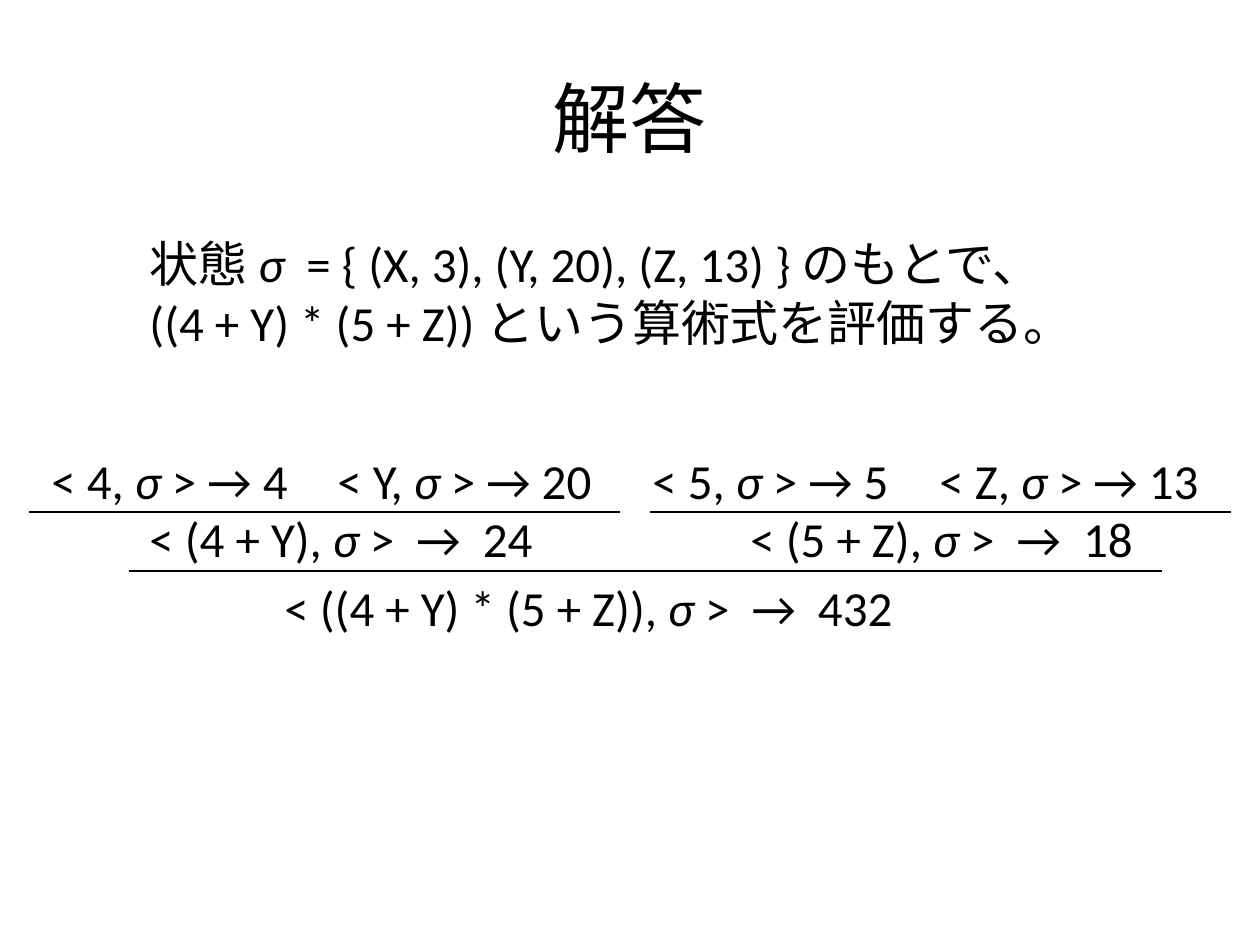
from lxml.etree import SubElement
from pptx import Presentation
from pptx.dml.color import RGBColor
from pptx.enum.shapes import MSO_CONNECTOR
from pptx.enum.text import MSO_ANCHOR, PP_ALIGN
from pptx.oxml.ns import qn
from pptx.util import Emu, Pt

PX = 914400 // 126
BLACK = RGBColor(0, 0, 0)
FONT = "Calibri"
TEXT_HEIGHT = 72
SIGMA = ("σ ", True)


def px(length):
    return Emu(length * PX)


def add_run(paragraph, text, size=28, italic=False):
    run = paragraph.add_run()
    run.text = text
    run.font.name = FONT
    run.font.size = Pt(size)
    run.font.italic = italic
    run.font.color.rgb = BLACK


def add_text(slide, left, top, width, height, paragraphs):
    """Each paragraph is a list of (text, italic) runs."""
    shape = slide.shapes.add_textbox(px(left), px(top), px(width), px(height))
    frame = shape.text_frame
    frame.word_wrap = True
    for index, runs in enumerate(paragraphs):
        paragraph = frame.paragraphs[0] if index == 0 else frame.add_paragraph()
        for text, italic in runs:
            add_run(paragraph, text, italic=italic)


def add_judgment(slide, left, top, width, expression, result):
    runs = [(f"< {expression}, ", False), SIGMA, (result, False)]
    add_text(slide, left, top, width, TEXT_HEIGHT, [runs])


def add_rule_line(slide, left, top, width):
    line = slide.shapes.add_connector(
        MSO_CONNECTOR.STRAIGHT, px(left), px(top), px(left + width), px(top))
    line.line.color.rgb = BLACK
    line.line.width = Pt(0.75)
    SubElement(line._element.spPr, qn("a:effectLst"))


def add_title(slide, left, top, width, height):
    title = slide.shapes.title
    title.left, title.top, title.width, title.height = map(
        px, (left, top, width, height))
    title.text_frame.vertical_anchor = MSO_ANCHOR.MIDDLE
    paragraph = title.text_frame.paragraphs[0]
    paragraph.alignment = PP_ALIGN.CENTER
    add_run(paragraph, "解答", size=44)


def add_question(slide, left, top, width, height):
    add_text(slide, left, top, width, height, [
        [("状態 ", False), ("σ  ", True),
         ("= { (X, 3), (Y, 20), (Z, 13) } のもとで、", False)],
        [("((4 + Y) * (5 + Z)) という算術式を評価する。", False)],
    ])


def add_inference(slide, left, top, width, premises, conclusion):
    """Premises above a rule line and the conclusion below it.

    Each judgment is (offset from left, width, expression, result).
    """
    for offset, text_width, expression, result in premises:
        add_judgment(slide, left + offset, top, text_width, expression, result)
    add_rule_line(slide, left, top + 68, width)
    offset, text_width, expression, result = conclusion
    add_judgment(slide, left + offset, top + 58, text_width, expression, result)


def add_derivation(slide, left, top, width):
    # Evaluation of the two operands
    add_inference(slide, left, top, 591,
                  [(10, 272, "4", "> → 4"), (296, 291, "Y", "> → 20")],
                  (108, 438, "(4 + Y)", ">  →  24"))
    add_inference(slide, left + 621, top, width - 621,
                  [(-10, 272, "5", "> → 5"), (277, 296, "Z", "> → 13")],
                  (88, 421, "(5 + Z)", ">  →  18"))
    # Evaluation of the product
    add_rule_line(slide, left + 100, top + 127, 1033)
    add_judgment(slide, left + 243, top + 127, 678,
                 "((4 + Y) * (5 + Z))", ">  →  432")


def main():
    presentation = Presentation()
    presentation.slide_width = px(1260)
    presentation.slide_height = px(945)
    slide = presentation.slides.add_slide(presentation.slide_layouts[5])
    add_title(slide, 63, 38, 1134, 158)
    add_question(slide, 137, 227, 903, 131)
    add_derivation(slide, 29, 444, 1202)
    presentation.save("out.pptx")


if __name__ == "__main__":
    main()
